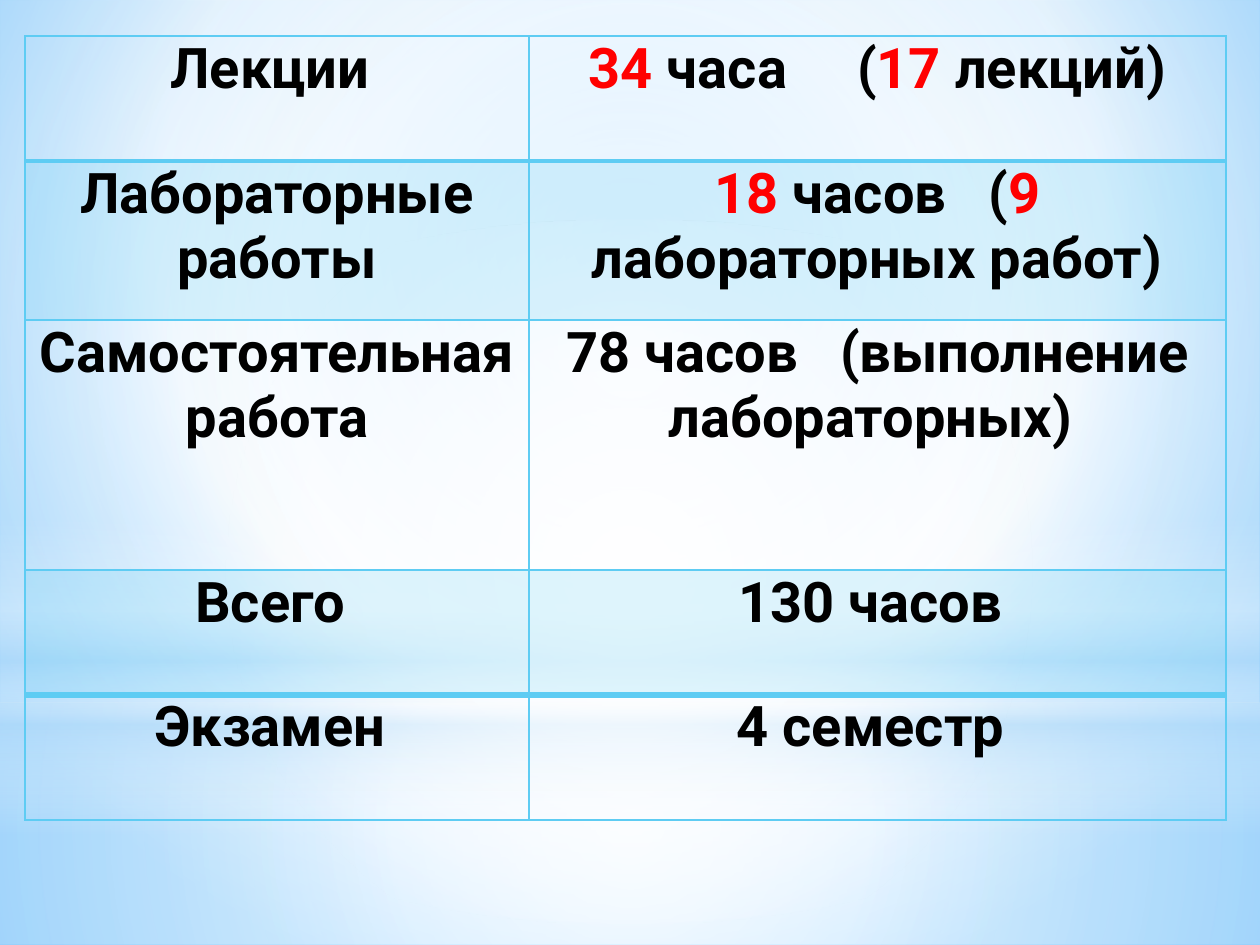
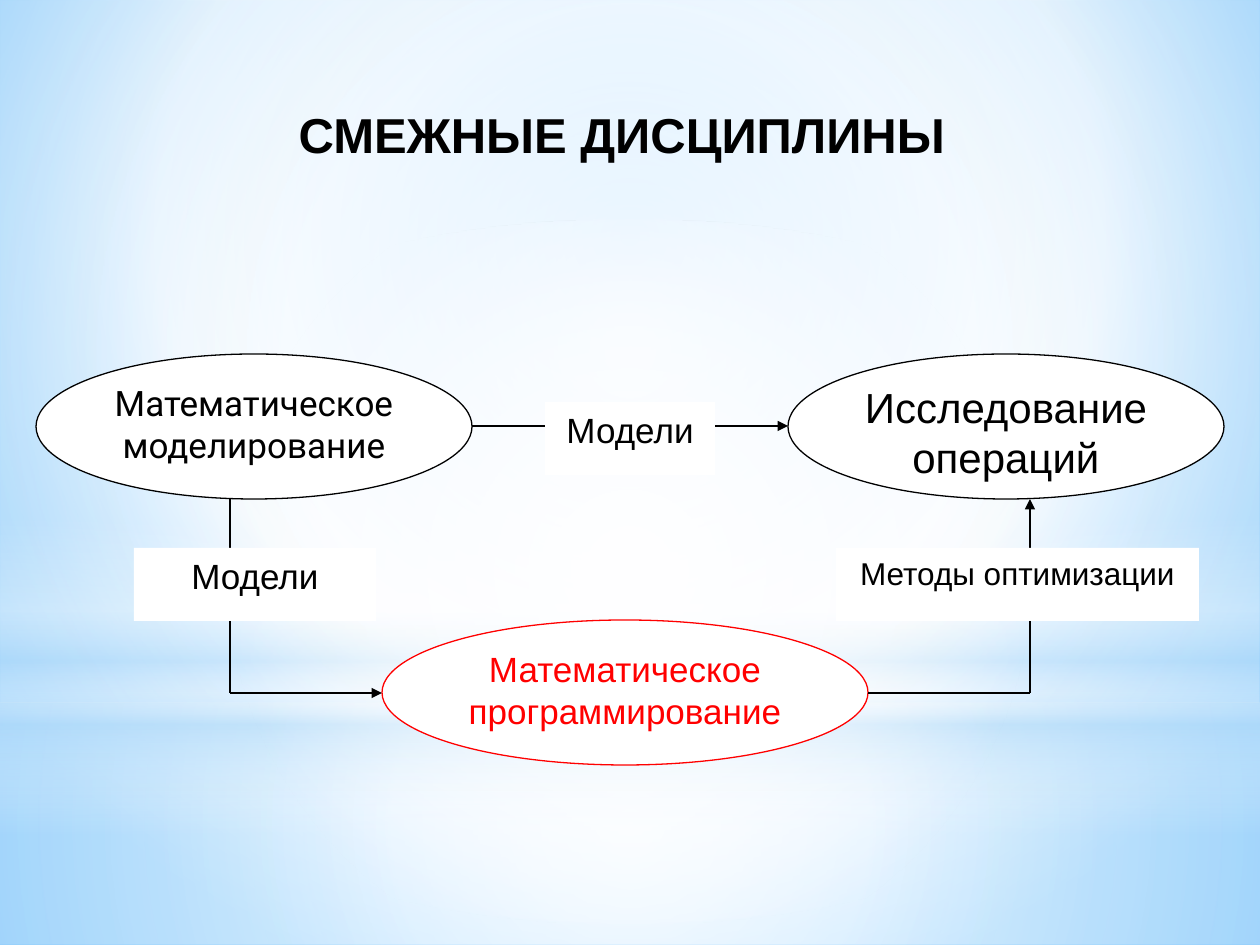
"""Builds two course slides: a table of study hours and a map of related disciplines."""
import pptx
import pptx.dml.color
import pptx.enum.shapes
import pptx.enum.text
import pptx.oxml
import pptx.oxml.ns
import pptx.util

SHAPE = pptx.enum.shapes.MSO_SHAPE
ALIGN = pptx.enum.text.PP_ALIGN
ANCHOR = pptx.enum.text.MSO_ANCHOR
qn = pptx.oxml.ns.qn

SLIDE_W, SLIDE_H = 1260, 945
PX = 914400 / 126
COLORS = {"black": "000000", "white": "FFFFFF", "red": "FF0000", "cyan": "5ECCF3",
          "pale": "B4DCFA", "sky": "9ED5FF", "blue": "5BB9FF"}

CENTER = (50, 50, 50, 50)
BACKGROUND = ([(0, "sky", 100), (60, "white", 100), (100, "blue", 100)], (20, 10, 20, 60))
BACKDROP = [
    (SHAPE.RECTANGLE, (0, 703, 1260, 242),
     [(0, "white", 91), (37, "white", 76), (100, "pale", 79)], CENTER),
    (SHAPE.RECTANGLE, (0, 0, 1260, 703),
     [(0, "white", 89), (48, "white", 62), (100, "pale", 79)], CENTER),
    (SHAPE.RECTANGLE, (0, 519, 1260, 315),
     [(0, "white", 0), (29, "white", 30), (45, "pale", 40), (55, "white", 26),
      (65, "pale", 60), (100, "white", 0)], None),
    (SHAPE.OVAL, (0, 220, 1260, 703), [(0, "white", 100), (56, "white", 0)], CENTER),
]

WIDE, MEDIUM = (" ", "black", 32), (" ", "black", 16)
HOURS = [
    (["Лекции "], [("34", "red"), " часа", WIDE, "(", ("17", "red"), " лекций)"]),
    (["Лабораторные работы"],
     [("18", "red"), " часов", MEDIUM, "(", ("9", "red"), " лабораторных работ)"]),
    (["Самостоятельная работа"], ["78 часов", MEDIUM, "(выполнение лабораторных) "]),
    (["Всего "], ["130 часов "]),
    (["Экзамен "], ["4 семестр "]),
]
TABLE_LEFT, TABLE_TOP = 25, 36
COL_WIDTHS = [504, 697]
ROW_HEIGHTS = [125, 159, 250, 125, 125]
TINTED_ROWS = {1, 3}
RULES = [1, 2, 1, 1, 4, 1]

TITLE, TITLE_BOX = "СМЕЖНЫЕ ДИСЦИПЛИНЫ", (286, 98, 692, 102)
DISCIPLINES = [
    (["Математическое", "моделирование"], (36, 354, 436, 145), "Roboto", 20, "black"),
    (["Математическое", "программирование"], (382, 620, 486, 145), "Arial", 20, "red"),
    (["Исследование операций"], (788, 354, 436, 145), "Arial", 24, "black"),
]
LINKS = [
    [(472, 426), (788, 426)],
    [(230, 499), (230, 693), (382, 693)],
    [(868, 693), (1030, 693), (1030, 499)],
]
LABELS = [
    ("Модели", (545, 402, 170, 73), 20),
    ("Модели", (134, 548, 242, 73), 20),
    ("Методы оптимизации", (836, 548, 363, 73), 18),
]


def px(*values):
    return [pptx.util.Emu(round(v * PX)) for v in values]


def rgb(name):
    return pptx.dml.color.RGBColor.from_string(COLORS[name])


def xml(text):
    ns = pptx.oxml.ns.nsdecls("a")
    return pptx.oxml.parse_xml(text.replace(">", f" {ns}>", 1))


def color_xml(name, alpha=100):
    return f'<a:srgbClr val="{COLORS[name]}"><a:alpha val="{alpha * 1000}"/></a:srgbClr>'


def gradient(stops, focus):
    gs = "".join(f'<a:gs pos="{pos * 1000}">{color_xml(name, alpha)}</a:gs>'
                 for pos, name, alpha in stops)
    if focus:
        sides = " ".join(f'{k}="{v * 1000}"' for k, v in zip("ltrb", focus))
        way = f'<a:path path="circle"><a:fillToRect {sides}/></a:path>'
    else:
        way = '<a:lin ang="5400000" scaled="0"/>'
    return xml(f"<a:gradFill><a:gsLst>{gs}</a:gsLst>{way}</a:gradFill>")


def paint(fill, holder, element):
    fill.solid()
    holder.replace(holder.find(qn("a:solidFill")), element)


def add_backdrop(prs, s):
    master = prs.slide_master
    master.background.fill.solid()
    bg = master.element.find(".//" + qn("p:bgPr"))
    bg.replace(bg.find(qn("a:solidFill")), gradient(*BACKGROUND))
    for i, (kind, box, stops, focus) in enumerate(BACKDROP):
        sp = add_box(s.shapes, kind, box)
        paint(sp.fill, sp.element.spPr, gradient(stops, focus))
        sp.element.xpath(".//p:cNvPr")[0].set("id", str(100 + i))
        master.shapes.element.insert(2 + i, sp.element)


def add_box(shapes, kind, box, line=None):
    sp = shapes.add_shape(kind, *px(*box))
    sp.shadow.inherit = False
    sp.fill.solid()
    sp.fill.fore_color.rgb = rgb("white")
    if line:
        sp.line.color.rgb = rgb(line)
        sp.line.width = pptx.util.Pt(0.75)
    else:
        sp.line.fill.background()
    return sp


def style(p, font, size, color=None, bold=False, align=ALIGN.CENTER):
    p.alignment = align
    p.font.name, p.font.size, p.font.bold = font, pptx.util.Pt(size), bold
    if color:
        p.font.color.rgb = rgb(color)


def write(sp, lines, font, size, color):
    tf = sp.text_frame
    tf.word_wrap = True
    tf.vertical_anchor = ANCHOR.TOP
    tf.text = "\n".join(lines)
    for p in tf.paragraphs:
        style(p, font, size, color)


def add_line(shapes, start, end, arrow):
    c = shapes.add_connector(pptx.enum.shapes.MSO_CONNECTOR.STRAIGHT, *px(*start, *end))
    c.line.color.rgb = rgb("black")
    c.line.width = pptx.util.Pt(0.75)
    if arrow:
        c.line._get_or_add_ln().append(xml('<a:tailEnd type="triangle"></a:tailEnd>'))
    c.element.spPr.append(xml("<a:effectLst></a:effectLst>"))


def fill_cell(cell, segments, row):
    cell.margin_left = cell.margin_right = pptx.util.Inches(0.07)
    cell.margin_top = cell.margin_bottom = 0
    p = cell.text_frame.paragraphs[0]
    style(p, "Roboto", 32, bold=True)
    for segment in segments:
        text, color, *gap = (segment, "black") if isinstance(segment, str) else segment
        r = p.add_run()
        r.text = text
        r.font.color.rgb = rgb(color)
        if gap:
            r.font._element.set("spc", str(gap[0] * 100))
    tc_pr = cell._tc.get_or_add_tcPr()
    if row in TINTED_ROWS:
        paint(cell.fill, tc_pr, xml(f'<a:solidFill>{color_xml("cyan", 20)}</a:solidFill>'))
    else:
        cell.fill.background()
    for i, (side, width) in enumerate(zip("LRTB", (1, 1, RULES[row], RULES[row + 1]))):
        tc_pr.insert(i, xml(f'<a:ln{side} w="{width * 12700}"><a:solidFill>'
                            f'{color_xml("cyan")}</a:solidFill></a:ln{side}>'))


def add_hours(s):
    box = (TABLE_LEFT, TABLE_TOP, sum(COL_WIDTHS), sum(ROW_HEIGHTS))
    table = s.shapes.add_table(len(HOURS), len(COL_WIDTHS), *px(*box)).table
    table.first_row = table.horz_banding = False
    for column, width in zip(table.columns, px(*COL_WIDTHS)):
        column.width = width
    for row, height in zip(table.rows, px(*ROW_HEIGHTS)):
        row.height = height
    for i, cells in enumerate(HOURS):
        for j, segments in enumerate(cells):
            fill_cell(table.cell(i, j), segments, i)


def add_disciplines(s):
    title = s.shapes.title
    title.left, title.top, title.width, title.height = px(*TITLE_BOX)
    tf = title.text_frame
    tf.text = TITLE
    tf.word_wrap = True
    tf.auto_size = pptx.enum.text.MSO_AUTO_SIZE.NONE
    tf.vertical_anchor = ANCHOR.TOP
    style(tf.paragraphs[0], "Arial", 28, "black", True, ALIGN.JUSTIFY)
    shapes = s.shapes.add_group_shape().shapes
    for lines, box, font, size, color in DISCIPLINES:
        write(add_box(shapes, SHAPE.OVAL, box, color), lines, font, size, color)
    for points in LINKS:
        for start, end in zip(points, points[1:]):
            add_line(shapes, start, end, end == points[-1])
    for text, box, size in LABELS:
        write(add_box(shapes, SHAPE.RECTANGLE, box), [text], "Arial", size, "black")


def main():
    prs = pptx.Presentation()
    prs.slide_width, prs.slide_height = px(SLIDE_W, SLIDE_H)
    s = prs.slides.add_slide(prs.slide_layouts[6])
    add_backdrop(prs, s)
    add_hours(s)
    add_disciplines(prs.slides.add_slide(prs.slide_layouts[5]))
    prs.save("out.pptx")


if __name__ == "__main__":
    main()
